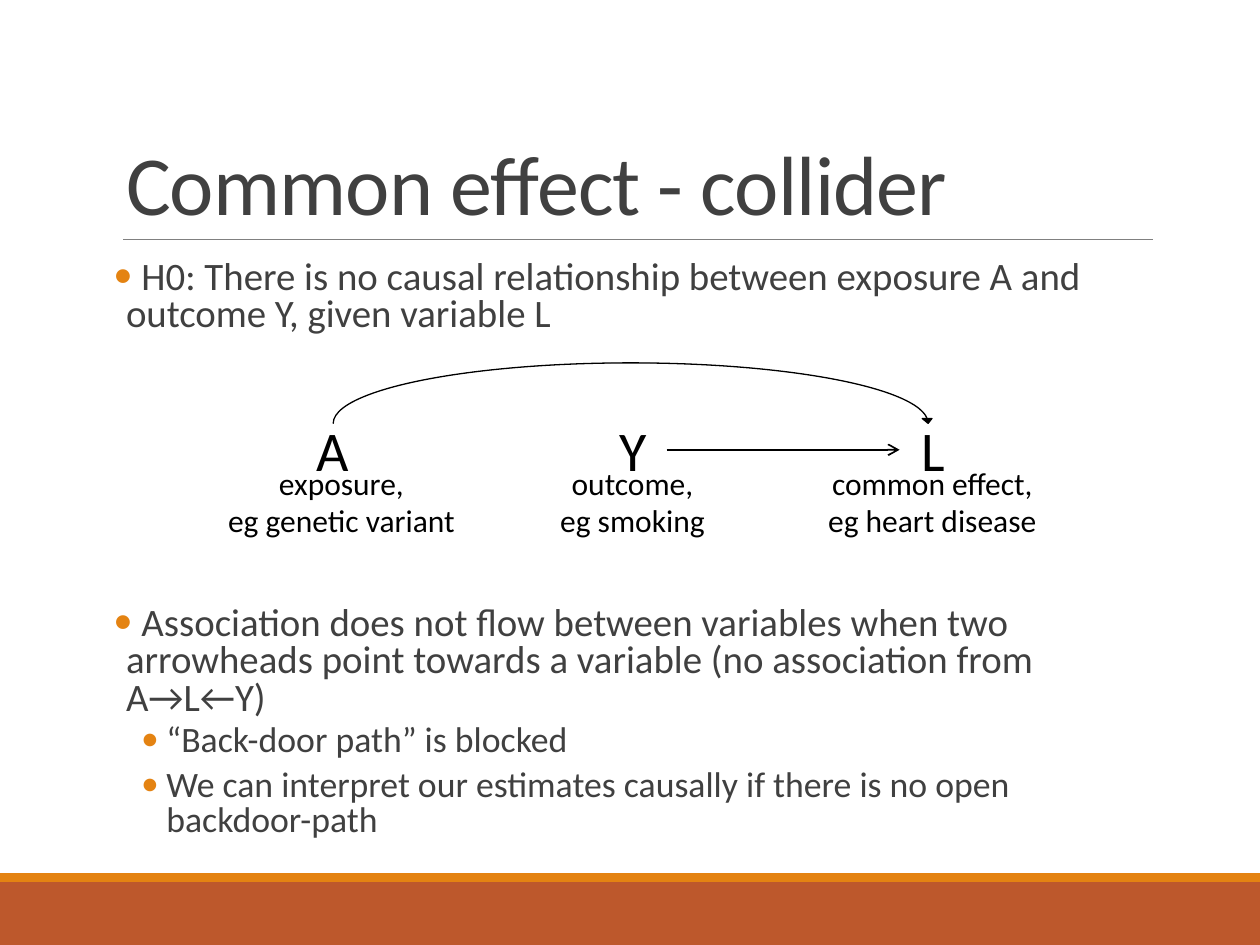
import pptx
import pptx.util
import pptx.dml.color
import pptx.enum.shapes
import pptx.enum.text
import pptx.oxml
import pptx.oxml.ns

RGB = pptx.dml.color.RGBColor
RUST = RGB(0xBD, 0x58, 0x2C)
AMBER = RGB(0xE4, 0x83, 0x12)
DARK = RGB(0x40, 0x40, 0x40)
GREY = RGB(0x80, 0x80, 0x80)
BLACK = RGB(0, 0, 0)

SHAPE = pptx.enum.shapes.MSO_SHAPE
ALIGN = pptx.enum.text.PP_ALIGN
ANCHOR = pptx.enum.text.MSO_ANCHOR
FIT = pptx.enum.text.MSO_AUTO_SIZE
Pt = pptx.util.Pt
COLS, ROWS = 100, 75  # grid cells of a tenth of an inch


def add_xml(parent, tag, **attrs):
    node = pptx.oxml.parse_xml(f"<a:{tag} {pptx.oxml.ns.nsdecls('a')}/>")
    for key, val in attrs.items():
        node.set(key, str(val))
    parent.append(node)
    return node


class Deck:
    font = "Calibri"

    def __init__(self):
        self.prs = pptx.Presentation()
        self.prs.slide_width = pptx.util.Inches(10)
        self.prs.slide_height = pptx.util.Inches(7.5)
        self.slide = self.prs.slides.add_slide(self.prs.slide_layouts[5])
        self.shapes = self.slide.shapes

    def span(self, *cells):
        """Turn column, row pairs into slide lengths."""
        sides = (self.prs.slide_width / COLS, self.prs.slide_height / ROWS)
        return [round(cell * sides[i % 2]) for i, cell in enumerate(cells)]

    def run(self, para, text, size, color):
        run = para.add_run()
        run.text = text
        run.font.name = self.font
        run.font.size = Pt(size)
        run.font.color.rgb = color
        return run

    def frame(self, shape, anchor):
        frame = shape.text_frame
        frame.word_wrap = True
        frame.auto_size = FIT.NONE
        frame.vertical_anchor = anchor
        return frame

    def title(self, text, cells):
        shape = self.shapes.title
        shape.left, shape.top, shape.width, shape.height = self.span(*cells)
        para = self.frame(shape, ANCHOR.BOTTOM).paragraphs[0]
        para.alignment = ALIGN.LEFT
        para.line_spacing = 0.85
        run = self.run(para, text, 48, DARK)
        run.font._element.set("spc", "-50")

    def shape(self, kind, cells, color=None, width=0):
        shape = self.shapes.add_shape(kind, *self.span(*cells))
        shape.shadow.inherit = False
        if color is None:
            shape.fill.background()
        else:
            shape.fill.solid()
            shape.fill.fore_color.rgb = color
        if width:
            shape.line.color.rgb = color
            shape.line.width = Pt(width)
        else:
            shape.line.fill.background()
        return shape

    def line(self, ends, color, width, arrow=False):
        line = self.shapes.add_connector(
            pptx.enum.shapes.MSO_CONNECTOR.STRAIGHT, *self.span(*ends))
        line.line.color.rgb = color
        line.line.width = Pt(width)
        if arrow:
            add_xml(line.line._get_or_add_ln(), "tailEnd", type="arrow")
        add_xml(line._element.spPr, "effectLst")

    def label(self, lines, mid, row, wide, high, size):
        box = self.shape(SHAPE.ROUNDED_RECTANGLE,
                         (mid - wide / 2, row, wide, high))
        frame = self.frame(box, ANCHOR.MIDDLE)
        for i, text in enumerate(lines):
            para = frame.add_paragraph() if i else frame.paragraphs[0]
            para.alignment = ALIGN.CENTER
            self.run(para, text, size, BLACK)

    def bullets(self, items, cells):
        box = self.shapes.add_textbox(*self.span(*cells))
        frame = self.frame(box, ANCHOR.TOP)
        frame.margin_left = frame.margin_right = 0
        for i, (level, before, text) in enumerate(items):
            para = frame.add_paragraph() if i else frame.paragraphs[0]
            size, left, hang, after = ((22.2, 0.1, 0.1, 2),
                                       (20.4, 0.42, 0.2, 4))[level]
            para.level = level
            para.line_spacing = 0.8
            para.space_before = Pt(before)
            para.space_after = Pt(after)
            props = para._p.get_or_add_pPr()
            props.set("marL", str(pptx.util.Inches(left)))
            props.set("indent", str(-pptx.util.Inches(hang)))
            add_xml(add_xml(props, "buClr"), "srgbClr", val=AMBER)
            add_xml(props, "buFont", typeface=self.font)
            add_xml(props, "buChar", char="•")
            para.font.size = Pt(size)
            self.run(para, text, size, DARK)


def main():
    deck = Deck()

    # Footer bands and title rule
    deck.shape(SHAPE.RECTANGLE, (0, 70, COLS, 5), RUST)
    deck.shape(SHAPE.RECTANGLE, (0, 69.3, COLS, 0.7), AMBER)
    deck.line((9.8, 19, 91.5, 19), GREY, 0.5)

    # Title and bullets, with a gap for the diagram
    deck.title("Common effect - collider", (9, 3.1, 82.5, 15.9))
    deck.bullets([
        (0, 0, " H0: There is no causal relationship between exposure A and "
               "outcome Y, given variable L"),
        (0, 153, " Association does not flow between variables when two "
                 "arrowheads point towards a variable "
                 "(no association from A→L←Y)"),
        (1, 2, "“Back-door path” is blocked"),
        (1, 2, "We can interpret our estimates causally if there is no open "
               "backdoor-path"),
    ], (9, 20.2, 82.5, 48))

    # Causal diagram: nodes with captions
    first, step = 26.45, 23.8
    nodes = [
        ("A", 27.1, ("exposure,", "eg genetic variant")),
        ("Y", 50.2, ("outcome,", "eg smoking")),
        ("L", 74, ("common effect,", "eg heart disease")),
    ]
    for i, (name, mid, notes) in enumerate(nodes):
        deck.label([name], first + i * step, 33.6, 5.3, 4.1, 32)
        deck.label(notes, mid, 36.6, 26.8, 6.4, 18)

    # Arrows into the collider
    deck.line((52.9, 35.7, 71.4, 35.7), BLACK, 1, arrow=True)
    arc = deck.shape(SHAPE.CURVED_DOWN_ARROW,
                     (first, 28.8, 2 * step, 4.8), BLACK, 0.75)
    for i, share in enumerate((0, 0.16, 0.08)):
        arc.adjustments[i] = share

    deck.prs.save("out.pptx")


if __name__ == "__main__":
    main()
